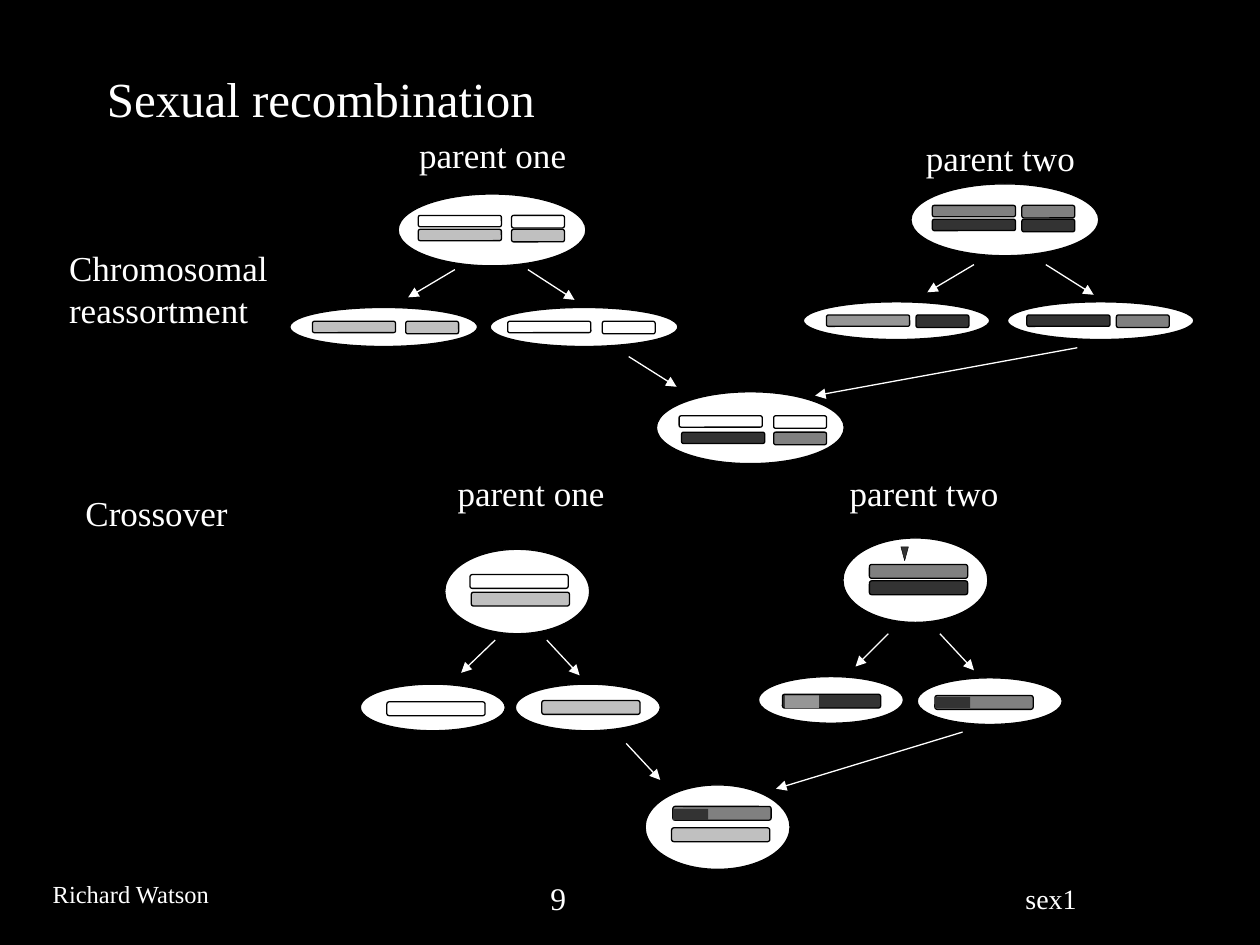
from lxml import etree
from pptx import Presentation
from pptx.dml.color import RGBColor
from pptx.enum import shapes, text
from pptx.oxml import ns
from pptx.util import Inches, Pt

COLORS = {
    "black": "000000", "white": "FFFFFF", "silver": "C0C0C0",
    "gray": "808080", "light": "969696", "dark": "333333", "clear": None,
}
FONT = "Times New Roman"

LABELS = [
    ("sex1", (8.04, 6.95, 2.5, 0.36), dict(size=16)),
    ("Richard Watson", (0.32, 6.93, 1.46, 0.34), dict(size=14, wrap=False)),
    ("9", (4.27, 6.93, 1.24, 0.4), dict(size=18)),
    ("Sexual recombination", (0.75, 0.41, 8.5, 0.73), dict(size=28, middle=True)),
    ("Chromosomal\nreassortment", (0.45, 1.91, 1.8, 0.77), dict(wrap=False)),
    ("Crossover", (0.58, 3.85, 1.33, 0.44), dict(wrap=False)),
]

PARENT_LABELS = [
    ("parent one", (3, 1.06, 1.82, 0.35)),
    ("parent two", (7.03, 1.08, 1.82, 0.35)),
    ("parent one", (3.13, 3.74, 2.17, 0.41)),
    ("parent two", (6.25, 3.74, 2.17, 0.41)),
]

CELL_SIZES = {
    "diploid": (1.49, 0.57), "gamete": (1.49, 0.31),
    "crossing": (1.15, 0.67), "crossed": (1.15, 0.37),
}
BAR_SIZES = {"long": (0.66, 0.09), "short": (0.42, 0.1), "whole": (0.78, 0.11)}

CELLS = [
    ("diploid", 3.16, 1.54, 0.75, [
        ("long", 3.32, 1.71, "white"), ("long", 3.32, 1.82, "silver"),
        ("short", 4.06, 1.71, "white"), ("short", 4.06, 1.82, "silver")]),
    ("diploid", 7.23, 1.46, 0.75, [
        ("long", 7.4, 1.63, "gray"), ("long", 7.4, 1.74, "dark"),
        ("short", 8.11, 1.63, "gray"), ("short", 8.11, 1.74, "dark")]),
    ("gamete", 2.3, 2.44, 0.75, [
        ("long", 2.48, 2.55, "silver"), ("short", 3.22, 2.55, "silver")]),
    ("gamete", 6.37, 2.39, 1.5, [
        ("long", 6.56, 2.5, "light"), ("short", 7.27, 2.5, "dark")]),
    ("gamete", 3.89, 2.44, 0.75, [
        ("long", 4.03, 2.55, "clear"), ("short", 4.78, 2.55, "white")]),
    ("gamete", 7.99, 2.39, 1.5, [
        ("long", 8.15, 2.5, "dark"), ("short", 8.86, 2.5, "gray")]),
    ("diploid", 5.21, 3.11, 0.75, [
        ("long", 5.39, 3.3, "clear"), ("short", 6.14, 3.3, "white"),
        ("long", 5.41, 3.43, "dark"), ("short", 6.14, 3.43, "gray")]),
    ("crossing", 3.53, 4.36, 0.75, [
        ("whole", 3.73, 4.56, "white"), ("whole", 3.74, 4.7, "silver")]),
    ("crossing", 6.69, 4.27, 0.75, [
        ("whole", 6.9, 4.48, "gray"), ("whole", 6.9, 4.61, "dark")]),
    ("crossed", 2.86, 5.43, 0.75, [("whole", 3.07, 5.57, "white")]),
    ("crossed", 6.02, 5.37, 0.75, [("whole", 6.21, 5.51, "dark")]),
    ("crossed", 4.09, 5.43, 0.75, [("whole", 4.3, 5.56, "silver")]),
    ("crossed", 7.28, 5.38, 0.75, [("whole", 7.42, 5.52, "gray")]),
    ("crossing", 5.12, 6.23, 0.75, [
        ("whole", 5.34, 6.4, "gray"), ("whole", 5.33, 6.57, "silver")]),
]

SWAPPED_SEGMENTS = [
    ((7.42, 5.53, 0.28, 0.09), "dark"),
    ((6.23, 5.52, 0.27, 0.1), "light"),
    ((5.34, 6.42, 0.28, 0.09), "dark"),
]
CROSSOVER_MARK = (7.15, 4.34, 0.06, 0.11)

ARROWS = [
    (3.61, 2.14, 3.24, 2.36), (4.19, 2.14, 4.56, 2.38),
    (7.73, 2.1, 7.36, 2.32), (8.3, 2.1, 8.68, 2.34),
    (8.55, 2.76, 6.47, 3.14), (4.99, 2.83, 5.37, 3.07),
    (3.93, 5.08, 3.66, 5.34), (4.34, 5.08, 4.6, 5.36),
    (7.05, 5.03, 6.79, 5.29), (7.46, 5.03, 7.73, 5.32),
    (7.64, 5.81, 6.16, 6.26), (4.97, 5.9, 5.24, 6.19),
]


def rgb(name):
    return RGBColor.from_string(COLORS[name])


def inches(box):
    return [Inches(length) for length in box]


def add_label(slide, words, box, size=20, wrap=True, middle=False,
              centered=False, inset=0.05):
    frame = slide.shapes.add_textbox(*inches(box)).text_frame
    frame.word_wrap = wrap
    if not wrap:
        frame.auto_size = text.MSO_AUTO_SIZE.SHAPE_TO_FIT_TEXT
    frame.margin_top = frame.margin_bottom = Inches(inset)
    frame.vertical_anchor = text.MSO_ANCHOR.MIDDLE if middle else text.MSO_ANCHOR.TOP
    paragraph = frame.paragraphs[0]
    paragraph.alignment = text.PP_ALIGN.CENTER if centered else text.PP_ALIGN.LEFT
    for index, line in enumerate(words.split("\n")):
        if index:
            paragraph.add_line_break()
        run = paragraph.add_run()
        run.text = line
        run.font.name = FONT
        run.font.size = Pt(size)
        run.font.color.rgb = rgb("white")


def add_part(slide, preset, box, color, outline=0.75):
    part = slide.shapes.add_shape(preset, *inches(box))
    part.shadow.inherit = False
    if COLORS[color]:
        part.fill.solid()
        part.fill.fore_color.rgb = rgb(color)
    else:
        part.fill.background()
    if outline:
        part.line.color.rgb = rgb("black")
        part.line.width = Pt(outline)
    else:
        part.line.fill.background()
    return part


def add_arrow(slide, ends):
    arrow = slide.shapes.add_connector(shapes.MSO_CONNECTOR.STRAIGHT, *inches(ends))
    arrow.line.color.rgb = rgb("white")
    arrow.line.width = Pt(0.75)
    etree.SubElement(arrow.line._get_or_add_ln(), ns.qn("a:tailEnd"), type="triangle")
    etree.SubElement(arrow._element.spPr, ns.qn("a:effectLst"))


def main():
    deck = Presentation()
    deck.slide_width, deck.slide_height = Inches(10), Inches(7.5)
    slide = deck.slides.add_slide(deck.slide_layouts[6])
    slide.background.fill.solid()
    slide.background.fill.fore_color.rgb = rgb("black")

    preset = shapes.MSO_SHAPE
    for words, box, style in LABELS:
        add_label(slide, words, box, **style)
    for words, box in PARENT_LABELS:
        add_label(slide, words, box, centered=True, inset=0)
    for kind, left, top, outline, bars in CELLS:
        add_part(slide, preset.OVAL, (left, top, *CELL_SIZES[kind]), "white", outline)
        for length, x, y, color in bars:
            add_part(slide, preset.ROUNDED_RECTANGLE, (x, y, *BAR_SIZES[length]), color)
    for box, color in SWAPPED_SEGMENTS:
        add_part(slide, preset.RECTANGLE, box, color, outline=0)
    mark = add_part(slide, preset.ISOSCELES_TRIANGLE, CROSSOVER_MARK, "dark", 0.25)
    mark.rotation = 180
    for ends in ARROWS:
        add_arrow(slide, ends)
    deck.save("out.pptx")


if __name__ == "__main__":
    main()
